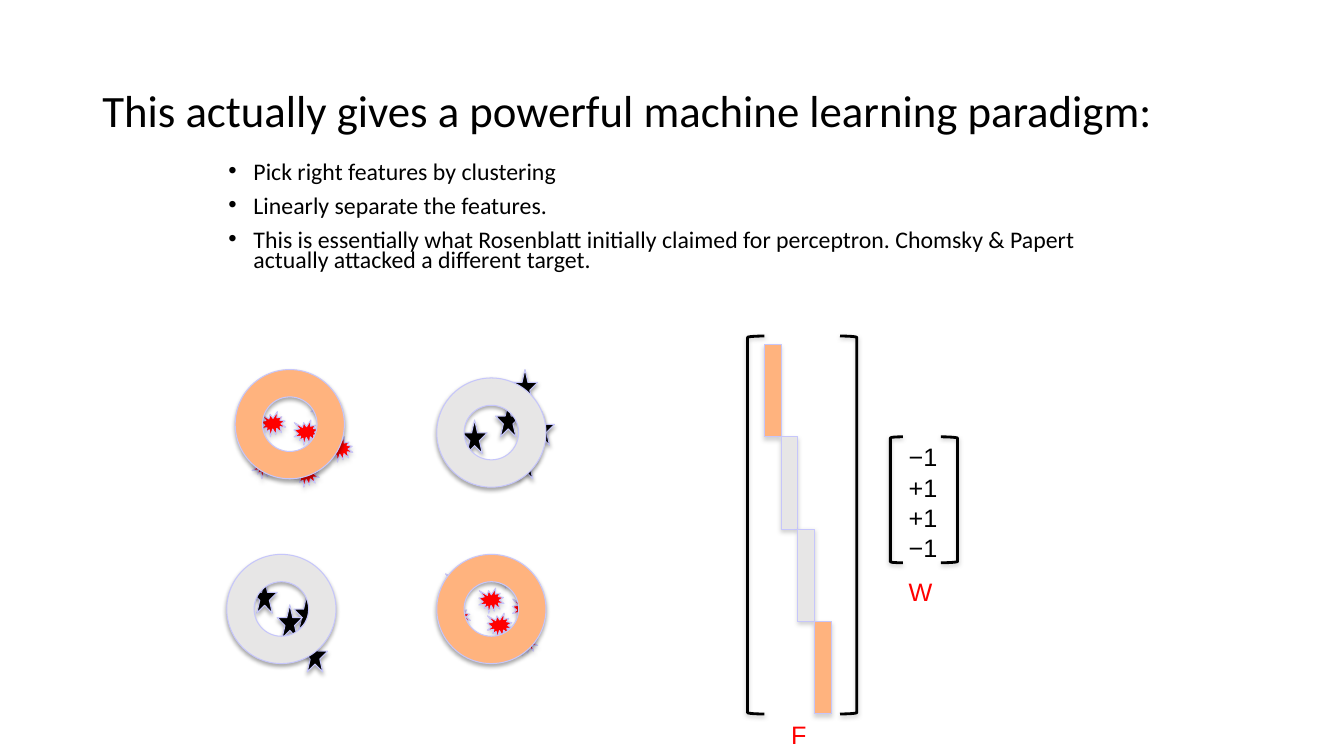
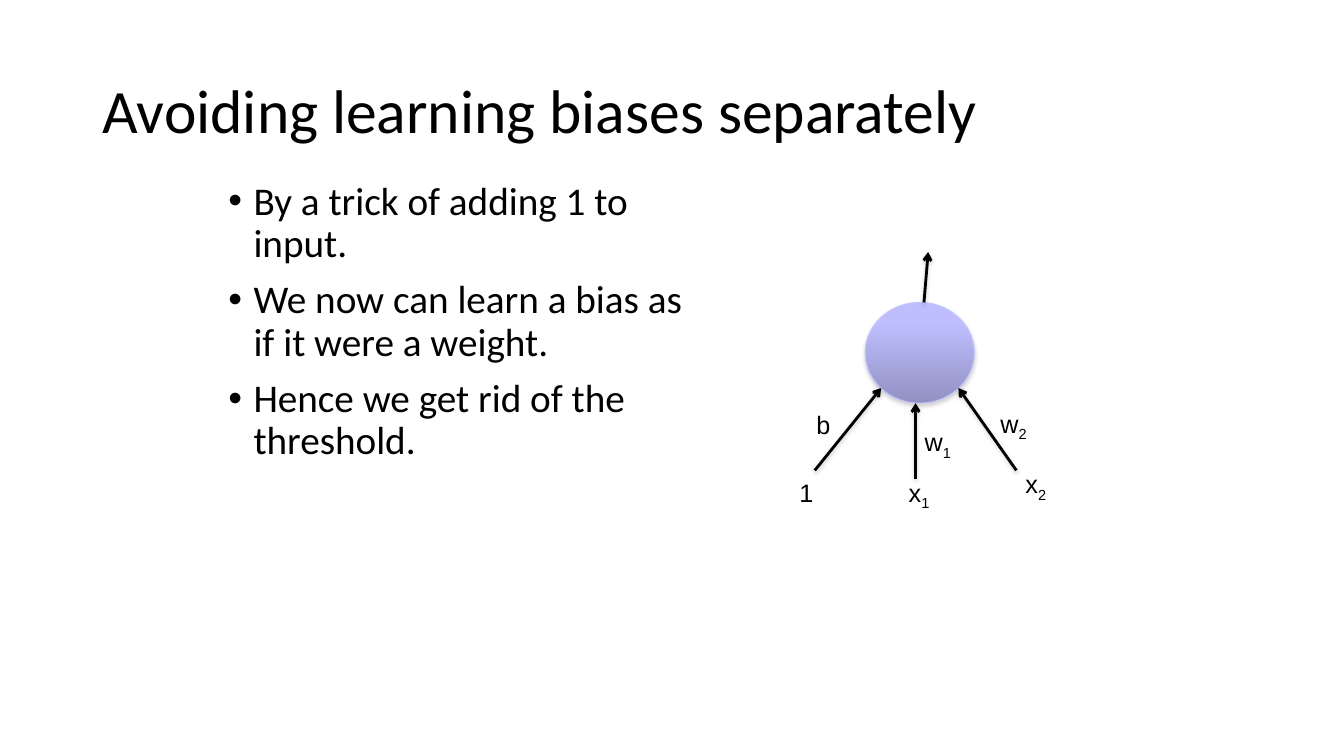
from dataclasses import dataclass

from lxml.etree import SubElement
from pptx import Presentation
from pptx.dml.color import RGBColor
from pptx.enum.shapes import MSO_CONNECTOR, MSO_SHAPE
from pptx.enum.text import MSO_ANCHOR, MSO_AUTO_SIZE
from pptx.oxml.ns import qn
from pptx.shapes.autoshape import Shape
from pptx.shapes.base import BaseShape
from pptx.slide import Slide
from pptx.util import Inches, Length, Pt

COLUMNS, ROWS = 160, 90
CELL = Inches(7.5) / ROWS
COLORS = {
    "ink": "000000",
    "accent": "FF0000",
    "orange": "FFB37E",
    "silver": "E7E6E6",
    "outline": "C6C6FB",
    "neuron_top": "BEBEFE",
    "neuron_bottom": "9191C3",
    "shadow": "808080",
}


@dataclass(frozen=True)
class Area:
    column: float
    row: float
    columns: float
    rows: float


@dataclass(frozen=True)
class Group:
    kind: MSO_SHAPE
    color: str
    columns: float
    rows: float
    spots: tuple[tuple[float, float], ...]
    shadow: str = "ink"


@dataclass(frozen=True)
class Label:
    text: str
    area: Area
    color: str = "ink"


@dataclass(frozen=True)
class Arrow:
    start: tuple[float, float]
    end: tuple[float, float]


TITLE = Area(11, 4.8, 138, 17.4)
BLOCK_COLORS = ("orange", "silver", "silver", "orange")
GROUPS = (
    Group(MSO_SHAPE.EXPLOSION1, "accent", 3, 3, (
        (35, 50), (57, 70), (30, 54), (31, 49), (37, 47), (39, 52), (35, 55),
        (58, 73), (61, 71), (53, 72), (59, 67), (53, 68), (61, 75)), "shadow"),
    Group(MSO_SHAPE.STAR_5_POINT, "ink", 3, 4, (
        (59, 48), (35, 71), (63, 49), (55, 50), (61, 53),
        (61, 44), (33, 72), (30, 69), (36, 76))),
    Group(MSO_SHAPE.DONUT, "silver", 13, 13, ((52, 45), (27, 66))),
    Group(MSO_SHAPE.DONUT, "orange", 13, 13, ((52, 66), (28, 44))),
    *(Group(MSO_SHAPE.RECTANGLE, color, 2, 11,
            ((91 + 2 * step, 41 + 11 * step),), "shadow")
      for step, color in enumerate(BLOCK_COLORS)),
)
BRACKETS = (
    (MSO_SHAPE.LEFT_BRACKET, Area(89, 40, 2, 45)),
    (MSO_SHAPE.RIGHT_BRACKET, Area(100, 40, 2, 45)),
    (MSO_SHAPE.LEFT_BRACKET, Area(106, 52, 1.5, 15)),
    (MSO_SHAPE.RIGHT_BRACKET, Area(112, 52, 2, 15)),
)
MATRIX_LABELS = (
    Label("−1\n+1\n+1\n−1", Area(107, 52, 5.9, 15.7)),
    Label("F", Area(93, 85, 4.3, 4.8), "accent"),
    Label("W", Area(107, 68, 5.3, 4.8), "accent"),
)
NEURON = Area(103, 36, 13, 12)
ARROWS = (
    Arrow((97, 56), (104.9, 46.2)),
    Arrow((109, 57), (109, 48)),
    Arrow((121, 56), (114.1, 46.2)),
    Arrow((110, 36), (110.5, 30)),
)
NEURON_LABELS = (
    Label("b", Area(96, 48.1, 4.1, 4.8)),
    Label("1", Area(94, 56.2, 4.1, 4.8)),
    Label("x_1", Area(107, 56.2, 5, 4.8)),
    Label("x_2", Area(120.9, 55.2, 5, 4.8)),
    Label("w_1", Area(108.9, 50.2, 5.9, 4.8)),
    Label("w_2", Area(117.9, 48, 5.9, 4.8)),
)


def cells(count: float) -> Length:
    return Length(round(count * CELL))


def place(area: Area) -> tuple[Length, Length, Length, Length]:
    return (cells(area.column), cells(area.row),
            cells(area.columns), cells(area.rows))


def rgb(name: str) -> RGBColor:
    return RGBColor.from_string(COLORS[name])


def add_text(slide: Slide, text: str, area: Area, *, size: float,
             font: str = "Calibri", color: str = "ink", spacing: float = 1,
             bullets: bool = False, wrap: bool = True,
             anchor: MSO_ANCHOR = MSO_ANCHOR.TOP) -> None:
    frame = slide.shapes.add_textbox(*place(area)).text_frame
    frame.word_wrap = wrap
    frame.auto_size = MSO_AUTO_SIZE.NONE if wrap else MSO_AUTO_SIZE.SHAPE_TO_FIT_TEXT
    frame.vertical_anchor = anchor
    for index, line in enumerate(text.split("\n")):
        para = frame.add_paragraph() if index else frame.paragraphs[0]
        para.line_spacing = spacing
        if bullets:
            para.space_before = Pt(10)
            properties = para._p.get_or_add_pPr()
            properties.set("marL", str(Inches(0.25)))
            properties.set("indent", str(-Inches(0.25)))
            SubElement(properties, qn("a:buFont")).set("typeface", "Arial")
            SubElement(properties, qn("a:buChar")).set("char", "•")
        base, _, subscript = line.partition("_")
        for part, offset in ((base, 0), (subscript, -25000)):
            if not part:
                continue
            span = para.add_run()
            span.text = part
            span.font.size = Pt(size)
            span.font.name = font
            span.font.color.rgb = rgb(color)
            if offset:
                span._r.get_or_add_rPr().set("baseline", str(offset))


def add_shadow(item: BaseShape, *, color: str = "shadow", opacity: int = 35,
               distance: float = 1.8) -> None:
    effects = SubElement(item._element.spPr, qn("a:effectLst"))
    shadow = SubElement(effects, qn("a:outerShdw"), {
        "blurRad": str(Pt(3.1)), "dist": str(Pt(distance)),
        "dir": "5400000", "rotWithShape": "0"})
    tint = SubElement(shadow, qn("a:srgbClr"), val=COLORS[color])
    SubElement(tint, qn("a:alpha"), val=str(opacity * 1000))


def add_figure(slide: Slide, kind: MSO_SHAPE, area: Area) -> Shape:
    figure = slide.shapes.add_shape(kind, *place(area))
    figure.line.color.rgb = rgb("outline")
    figure.line.width = Pt(0.75)
    return figure


def add_group(slide: Slide, group: Group) -> None:
    for column, row in group.spots:
        figure = add_figure(slide, group.kind,
                            Area(column, row, group.columns, group.rows))
        figure.fill.solid()
        figure.fill.fore_color.rgb = rgb(group.color)
        add_shadow(figure, color=group.shadow)


def add_bracket(slide: Slide, kind: MSO_SHAPE, area: Area) -> None:
    bracket = slide.shapes.add_shape(kind, *place(area))
    bracket.adjustments[0] = 0.083
    bracket.fill.background()
    bracket.line.color.rgb = rgb("ink")
    bracket.line.width = Pt(2)
    add_shadow(bracket, opacity=38, distance=1.6)


def add_neuron(slide: Slide, area: Area) -> None:
    neuron = add_figure(slide, MSO_SHAPE.OVAL, area)
    neuron.fill.gradient()
    neuron.fill.gradient_angle = 270
    stops = zip(neuron.fill.gradient_stops, (0.2, 1), ("neuron_top", "neuron_bottom"))
    for stop, position, color in stops:
        stop.position = position
        stop.color.rgb = rgb(color)
    add_shadow(neuron)


def add_arrow(slide: Slide, arrow: Arrow) -> None:
    ends = [cells(value) for value in (*arrow.start, *arrow.end)]
    connector = slide.shapes.add_connector(MSO_CONNECTOR.STRAIGHT, *ends)
    connector.line.color.rgb = rgb("ink")
    connector.line.width = Pt(2)
    SubElement(connector.line._get_or_add_ln(), qn("a:tailEnd"), type="arrow")
    add_shadow(connector, opacity=38, distance=1.6)


def add_labels(slide: Slide, labels: tuple[Label, ...]) -> None:
    for label in labels:
        add_text(slide, label.text, label.area, size=18, font="Arial",
                 color=label.color, wrap=False)


def add_page(deck, title: str, size: float) -> Slide:
    page = deck.slides.add_slide(deck.slide_layouts[6])
    add_text(page, title, TITLE, size=size, spacing=0.9, anchor=MSO_ANCHOR.MIDDLE)
    return page


def build_paradigm(deck) -> None:
    page = add_page(deck, "This actually gives a powerful machine learning paradigm:", 32)
    add_text(page, "Pick right features by clustering\n"
             "Linearly separate the features.\n"
             "This is essentially what Rosenblatt initially claimed for perceptron. "
             "Chomsky & Papert actually attacked a different target.",
             Area(26, 19, 108, 15), size=17, spacing=0.7, bullets=True)
    for group in GROUPS:
        add_group(page, group)
    for kind, area in BRACKETS:
        add_bracket(page, kind, area)
    add_labels(page, MATRIX_LABELS)


def build_bias(deck) -> None:
    page = add_page(deck, "Avoiding learning biases separately", 44)
    add_text(page, "By a trick of adding 1 to input.\n"
             "We now can learn a bias as if it were a weight.\n"
             "Hence we get rid of the threshold.",
             Area(26, 21, 58, 59.4), size=28, spacing=0.9, bullets=True)
    add_neuron(page, NEURON)
    for arrow in ARROWS:
        add_arrow(page, arrow)
    add_labels(page, NEURON_LABELS)


def main() -> None:
    deck = Presentation()
    deck.slide_width, deck.slide_height = cells(COLUMNS), cells(ROWS)
    build_paradigm(deck)
    build_bias(deck)
    deck.save("out.pptx")


if __name__ == "__main__":
    main()
